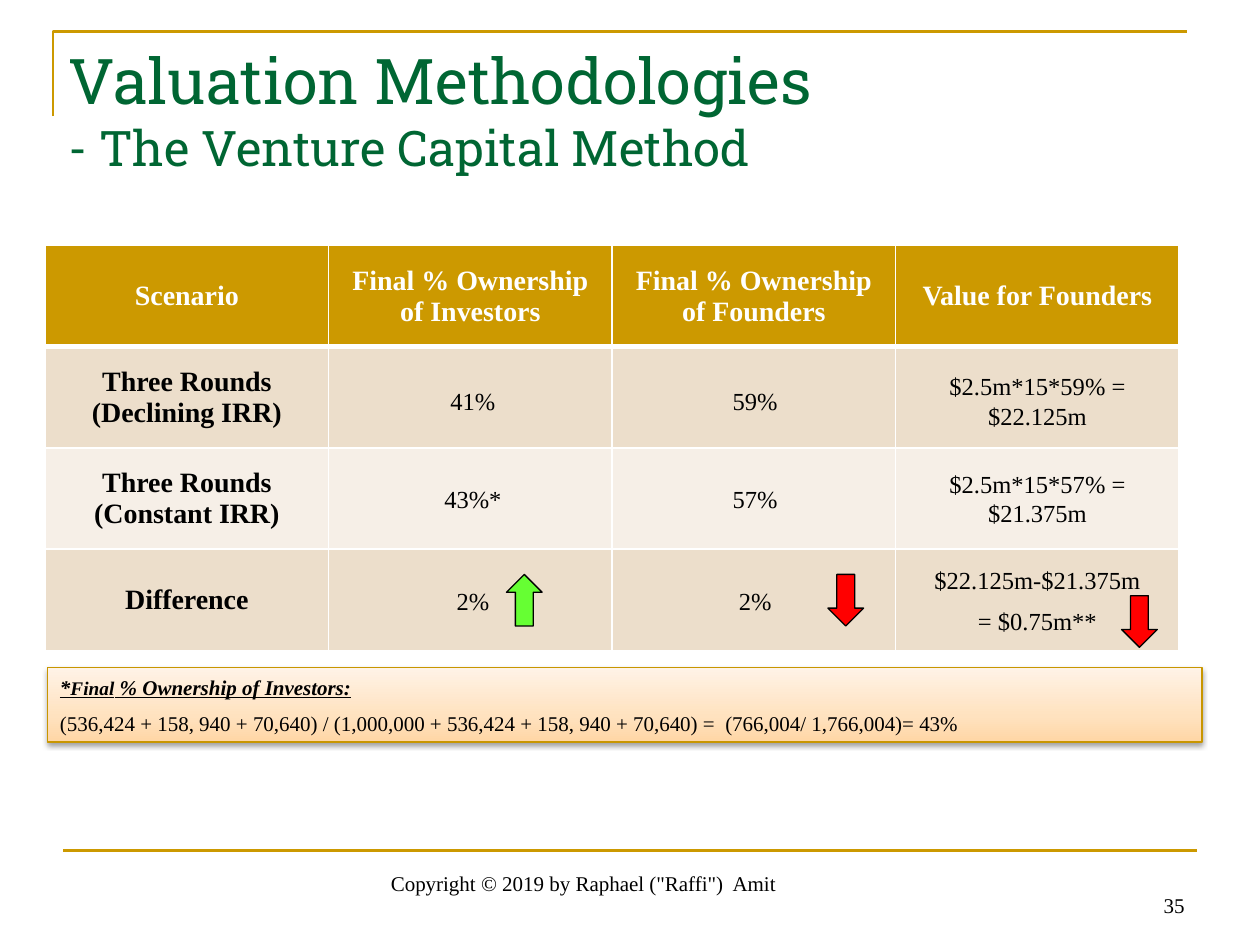
from copy import deepcopy
from dataclasses import dataclass

from pptx import Presentation
from pptx.dml.color import RGBColor
from pptx.enum import shapes as kinds
from pptx.enum.text import MSO_ANCHOR, PP_ALIGN
from pptx.oxml import parse_xml
from pptx.oxml.ns import nsdecls, qn
from pptx.util import Cm, Pt

COLORS = {
    "gold": "CC9900", "green": "006633", "black": "000000", "white": "FFFFFF",
    "band_dark": "ECDECB", "band_light": "F6EFE7", "note_line": "C89600",
    "rise": "66FF33", "fall": "FF0000",
}
NOTE_GRADIENT = [(0, "FFD6A5"), (0.35, "FFE2BF"), (1, "FFF3E7")]
SERIF = "Times New Roman"


@dataclass
class Label:
    lines: list[str]
    left: float
    top: float
    width: float
    height: float
    size: int = 14
    align: PP_ALIGN = PP_ALIGN.CENTER
    anchor: MSO_ANCHOR = MSO_ANCHOR.MIDDLE


@dataclass
class Arrow:
    kind: kinds.MSO_SHAPE
    left: float
    top: float
    color: str


HEADINGS = ["Scenario", "Final % Ownership of Investors",
            "Final % Ownership of Founders", "Value for Founders"]
SCENARIOS = [["Three Rounds (Declining IRR)"],
             ["Three Rounds", "(Constant IRR)"], ["Difference"]]
ROW_MIDDLES = [8.08, 10.05, 12.1]
RESULTS = [
    [["41%"], ["59%"], ["$2.5m*15*59% = $22.125m"]],
    [["43%*"], ["57%"], ["$2.5m*15*57% = $21.375m"]],
    [["2%"], ["2%"], ["$22.125m-$21.375m", "= $0.75m**"]],
]
RESULT_LEFT, RESULT_STEP, RESULT_WIDTH, RESULT_HEIGHT = 6.65, 5.69, 5.77, 1.75
FOOTERS = [
    Label(['Copyright © 2019 by Raphael ("Raffi")  Amit'], 6.38, 17.27, 10.77, 0.91,
          12, anchor=MSO_ANCHOR.BOTTOM),
    Label(["35"], 18.21, 17.35, 5.92, 1.27, 12, PP_ALIGN.RIGHT, MSO_ANCHOR.BOTTOM),
]
ARROWS = [
    Arrow(kinds.MSO_SHAPE.DOWN_ARROW, 16.69, 11.58, "fall"),
    Arrow(kinds.MSO_SHAPE.UP_ARROW, 10.21, 11.58, "rise"),
    Arrow(kinds.MSO_SHAPE.DOWN_ARROW, 22.61, 12.01, "fall"),
]


def rgb(name: str) -> RGBColor:
    return RGBColor.from_string(COLORS[name])


def set_font(font, size: float, color: str, name: str = SERIF, bold: bool = False) -> None:
    font.name, font.size, font.bold = name, Pt(size), bold
    font.color.rgb = rgb(color)


def set_line(line, color: str, width: float) -> None:
    line.color.rgb, line.width = rgb(color), Pt(width)


def write_lines(frame, lines: list[str], size: int, align: PP_ALIGN,
                color: str = "black", bold: bool = False, gap: float = 0) -> None:
    for index, line in enumerate(lines):
        paragraph = frame.paragraphs[0] if index == 0 else frame.add_paragraph()
        paragraph.text, paragraph.alignment = line, align
        if index and gap:
            paragraph.space_before = Pt(gap)
        set_font(paragraph.font, size, color, bold=bold)


def add_label(slide, label: Label) -> None:
    box = slide.shapes.add_textbox(Cm(label.left), Cm(label.top),
                                   Cm(label.width), Cm(label.height))
    frame = box.text_frame
    frame.word_wrap, frame.vertical_anchor = True, label.anchor
    write_lines(frame, label.lines, label.size, label.align, gap=label.size / 2)


def add_rules(slide) -> None:
    """Gold corner frame above the title and gold line above the footer."""
    builder = slide.shapes.build_freeform(Cm(1.07), Cm(2.34))
    builder.add_line_segments([(Cm(1.07), Cm(0.64)), (Cm(23.93), Cm(0.64))], close=False)
    corner = builder.convert_to_shape()
    corner.fill.background()
    corner.shadow.inherit = False
    set_line(corner.line, "gold", 1.5)

    footer_rule = slide.shapes.add_connector(
        kinds.MSO_CONNECTOR.STRAIGHT, Cm(1.27), Cm(17.15), Cm(24.13), Cm(17.15))
    set_line(footer_rule.line, "gold", 1.5)
    footer_rule._element.spPr.append(parse_xml(f"<a:effectLst {nsdecls('a')}/>"))


def add_title(slide) -> None:
    title = slide.shapes.title
    title.left, title.top, title.width, title.height = Cm(1.12), Cm(0.71), Cm(22.86), Cm(3.28)
    title.text_frame.vertical_anchor = MSO_ANCHOR.TOP
    paragraph = title.text_frame.paragraphs[0]
    paragraph.alignment = PP_ALIGN.LEFT
    set_font(paragraph.font, 36, "green", "Roboto Slab")
    paragraph.add_run().text = "Valuation Methodologies"
    paragraph.add_line_break()
    subtitle = paragraph.add_run()
    subtitle.text = "- The Venture Capital Method"
    subtitle.font.size = Pt(28)


def set_borders(cell, top: float, bottom: float) -> None:
    sides = {"lnL": 1, "lnR": 1, "lnT": top, "lnB": bottom}
    for index, (side, width) in enumerate(sides.items()):
        cell._tc.get_or_add_tcPr().insert(index, parse_xml(
            f'<a:{side} {nsdecls("a")} w="{Pt(width)}"><a:solidFill>'
            f'<a:srgbClr val="{COLORS["white"]}"/></a:solidFill></a:{side}>'))


def add_scenario_table(slide) -> None:
    rows, columns = len(SCENARIOS) + 1, len(HEADINGS)
    table = slide.shapes.add_table(rows, columns, Cm(0.91), Cm(4.95),
                                   Cm(22.86), Cm(8.16)).table
    fills = ["gold", "band_dark", "band_light", "band_dark"]
    for row, fill in enumerate(fills):
        for column in range(columns):
            cell = table.cell(row, column)
            cell.vertical_anchor = MSO_ANCHOR.MIDDLE
            cell.fill.solid()
            cell.fill.fore_color.rgb = rgb(fill)
            set_borders(cell, 3 if row == 1 else 1, 3 if row == 0 else 1)
            if row == 0:
                write_lines(cell.text_frame, [HEADINGS[column]], 16,
                            PP_ALIGN.CENTER, "white", bold=True)
            elif column == 0:
                write_lines(cell.text_frame, SCENARIOS[row - 1], 16,
                            PP_ALIGN.CENTER, bold=True)


def add_results(slide) -> None:
    for middle, results in zip(ROW_MIDDLES, RESULTS):
        for column, lines in enumerate(results):
            add_label(slide, Label(lines, RESULT_LEFT + column * RESULT_STEP,
                                   middle - RESULT_HEIGHT / 2, RESULT_WIDTH, RESULT_HEIGHT))


def add_ownership_note(slide) -> None:
    note = slide.shapes.add_shape(kinds.MSO_SHAPE.RECTANGLE, Cm(0.96), Cm(13.46),
                                  Cm(23.27), Cm(1.5))
    set_line(note.line, "note_line", 0.75)
    note.fill.gradient()
    note.fill.gradient_angle = 90
    stops = note._element.spPr.find(".//" + qn("a:gsLst"))
    stops.append(deepcopy(stops[0]))
    for stop, (position, color) in zip(note.fill.gradient_stops, NOTE_GRADIENT):
        stop.position = position
        stop.color.rgb = RGBColor.from_string(color)

    note.shadow.inherit = False
    note._element.spPr.find(qn("a:effectLst")).append(parse_xml(
        f'<a:outerShdw {nsdecls("a")} blurRad="{Pt(3.1)}" dist="{Pt(1.6)}" dir="5400000" '
        f'rotWithShape="0"><a:srgbClr val="{COLORS["black"]}"><a:alpha val="38000"/>'
        '</a:srgbClr></a:outerShdw>'))

    frame = note.text_frame
    frame.word_wrap, frame.vertical_anchor = True, MSO_ANCHOR.MIDDLE
    calculation = ("(536,424 + 158, 940 + 70,640) / (1,000,000 + 536,424 + 158, 940 + 70,640)"
                   " =  (766,004/ 1,766,004)= 43%")
    write_lines(frame, ["", calculation], 12, PP_ALIGN.LEFT, gap=6)
    heading = frame.paragraphs[0]
    heading.font.bold = heading.font.italic = heading.font.underline = True
    for part, size in [("*", 12), ("Final", 11), (" % Ownership of Investors:", 12)]:
        run = heading.add_run()
        run.text, run.font.size = part, Pt(size)


def add_arrow(slide, arrow: Arrow) -> None:
    shape = slide.shapes.add_shape(arrow.kind, Cm(arrow.left), Cm(arrow.top),
                                   Cm(0.72), Cm(1.04))
    shape.shadow.inherit = False
    shape.fill.solid()
    shape.fill.fore_color.rgb = rgb(arrow.color)
    set_line(shape.line, "black", 0.75)


def main() -> None:
    deck = Presentation()
    deck.slide_width, deck.slide_height = Cm(25.4), Cm(19.05)
    slide = deck.slides.add_slide(deck.slide_layouts[5])
    add_rules(slide)
    add_title(slide)
    for footer in FOOTERS:
        add_label(slide, footer)
    add_scenario_table(slide)
    add_ownership_note(slide)
    add_results(slide)
    for arrow in ARROWS:
        add_arrow(slide, arrow)
    deck.save("out.pptx")


if __name__ == "__main__":
    main()
